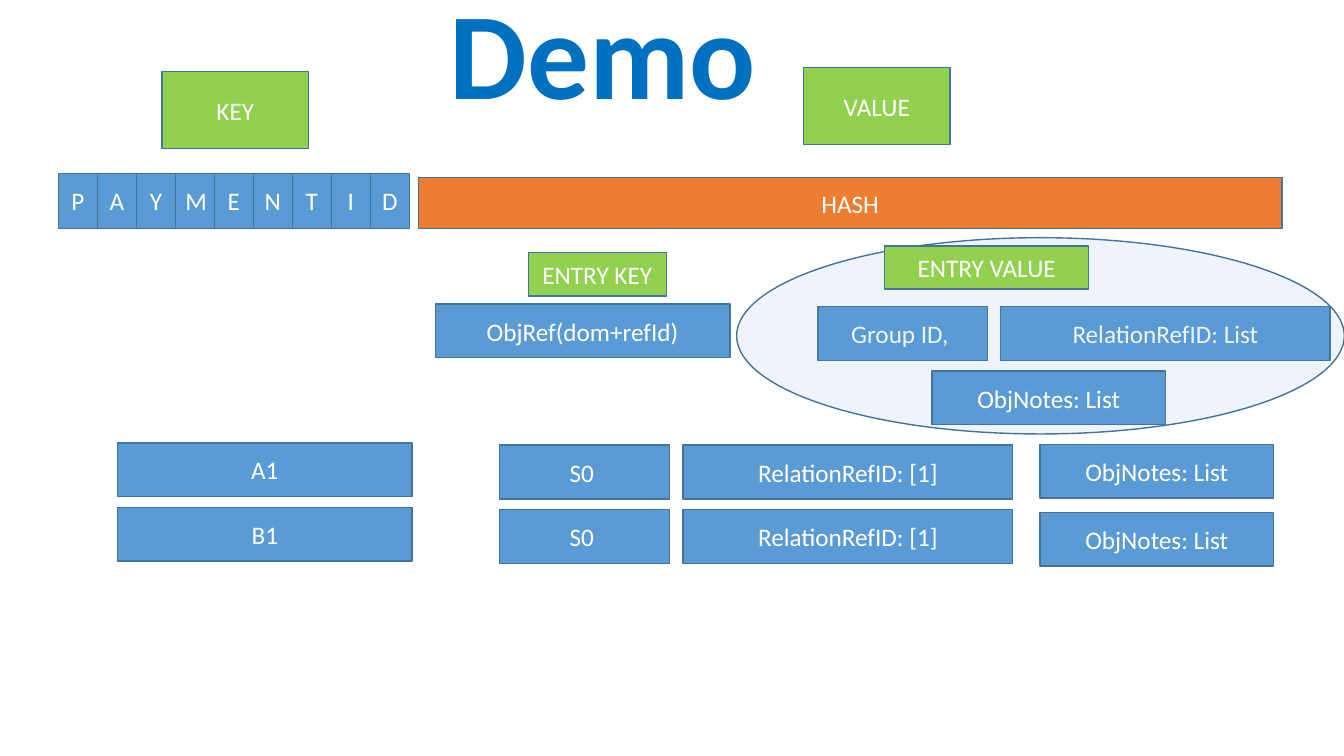
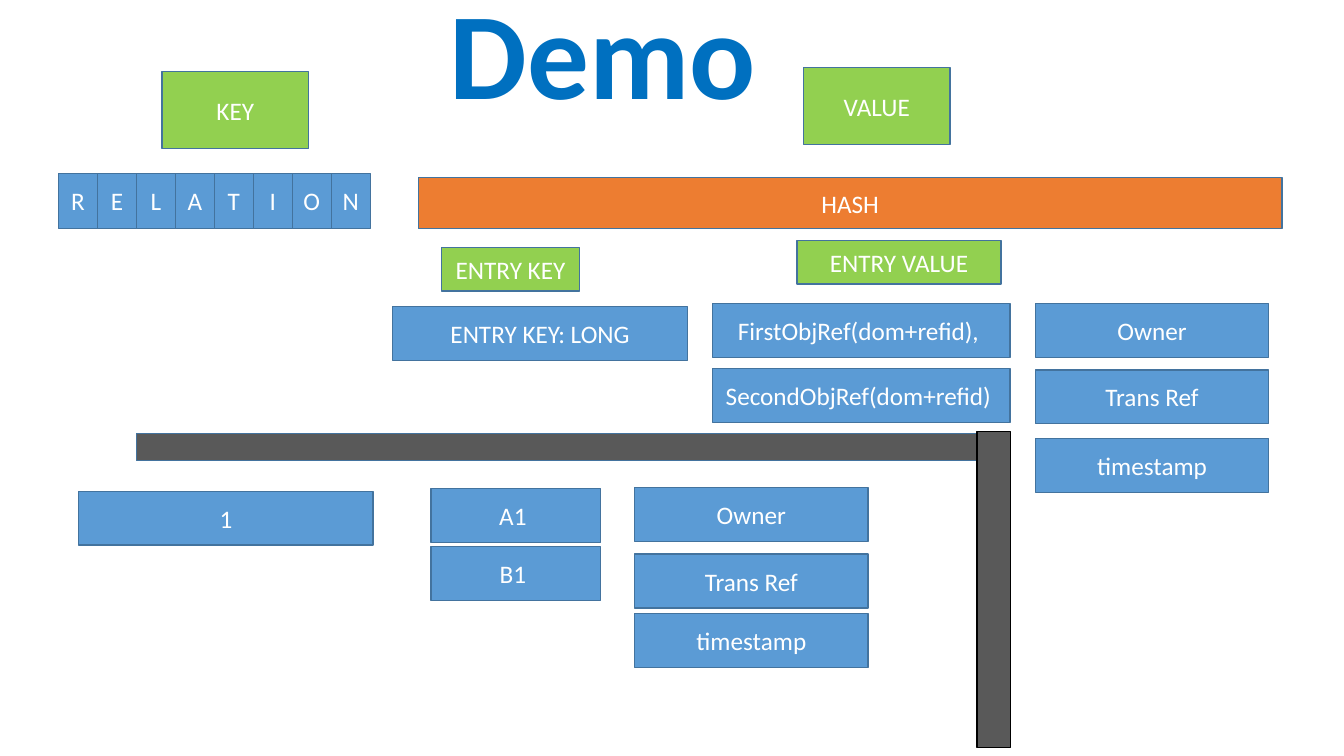
from lxml import etree
from pptx import Presentation
from pptx.dml.color import RGBColor
from pptx.enum import shapes, text
from pptx.oxml.ns import qn
from pptx.util import Pt

FONT = "Calibri"
INK = {
    "title": "0070C0",
    "blue": "5B9BD5",
    "green": "92D050",
    "orange": "ED7D31",
    "gray": "595959",
    "edge": "43739E",
    "black": "000000",
    "white": "FFFFFF",
}
ROW = 38.4  # height of a data box
KEY_W, ID_W, REL_W, NOTE_W, REF_W = 210.4, 121.2, 235.4, 166.6, 212.8
RECT = shapes.MSO_SHAPE.RECTANGLE
OVAL = shapes.MSO_SHAPE.OVAL


def rgb(name):
    return RGBColor.from_string(INK[name])


def style(frame, size, ink, bold=False):
    frame.vertical_anchor = text.MSO_ANCHOR.MIDDLE
    para = frame.paragraphs[0]
    para.alignment = text.PP_ALIGN.CENTER
    for run in para.runs:
        font = run.font
        font.name, font.size, font.bold = FONT, Pt(size), bold
        font.color.rgb = rgb(ink)


def box(slide, label, x, y, w, h=ROW, fill="blue", edge="edge", kind=RECT):
    shape = slide.shapes.add_shape(kind, Pt(x), Pt(y), Pt(w), Pt(h))
    shape.shadow.inherit = False
    shape.fill.solid()
    shape.fill.fore_color.rgb = rgb(fill)
    shape.line.color.rgb = rgb(edge)
    shape.line.width = Pt(1)
    if label:
        shape.text_frame.text = label
        style(shape.text_frame, 18, "white")
    return shape


def fade(shape, part):
    """Set the opacity of a solid fill, in percent."""
    tint = shape.fill._xPr.find(qn("a:solidFill"))[0]
    etree.SubElement(tint, qn("a:alpha")).set("val", str(part * 1000))


def tag(slide, label, x, y, w, h=31):
    box(slide, label, x, y, w, h, "green")


def cells(slide, word):
    """Spell the key with one cell per letter."""
    for i, char in enumerate(word):
        box(slide, char, 41.8 + 27.84 * i, 123.8, 27.84, 39.4)


def stack(slide, labels, x, tops, w):
    for label, y in zip(labels, tops):
        box(slide, label, x, y, w)


def place(layout):
    """Put the shared title area on the layout."""
    title = layout.placeholders[0]
    title.left, title.top = Pt(16.5), Pt(-9.4)
    title.width, title.height = Pt(828), Pt(104.4)


def start(deck, word):
    """Add a slide with the title, the key and value tags and the key cells."""
    slide = deck.slides.add_slide(deck.slide_layouts[5])
    frame = slide.shapes.title.text_frame
    frame.text = "Demo"
    frame.auto_size = text.MSO_AUTO_SIZE.NONE
    frame.paragraphs[0].line_spacing = 0.9
    style(frame, 88, "title", True)
    cells(slide, word)
    tag(slide, "KEY", 115.8, 51, 104.6, 55.2)
    tag(slide, "VALUE", 574, 48.2, 104.6, 55.2)
    box(slide, "HASH", 298.8, 126.8, 617, 36.6, "orange")
    return slide


def payment(deck):
    slide = start(deck, "PAYMENTID")
    box(slide, "ObjRef(dom+refId)", 311, 217.2, KEY_W)
    box(slide, "Group ID, ", 584.2, 219, ID_W)
    box(slide, "RelationRefID: List", 714.8, 219, REL_W)
    oval = box(slide, "", 526.2, 169.8, 434, 140.2, kind=OVAL)
    fade(oval, 10)
    tag(slide, "ENTRY KEY", 377.4, 180.6, 98.6)
    tag(slide, "ENTRY VALUE", 632, 175.6, 145.6)
    box(slide, "ObjNotes: List", 665.8, 265, NOTE_W)

    stack(slide, ["A1", "B1"], 84, [316.4, 362.4], KEY_W)
    stack(slide, ["S0 "] * 2, 357, [318, 364], ID_W)
    stack(slide, ["RelationRefID: [1]"] * 2, 488, [318, 364], REL_W)
    stack(slide, ["ObjNotes: List"] * 2, 743, [317.4, 366], NOTE_W)


def relation(deck):
    slide = start(deck, "RELATION")
    tag(slide, "ENTRY KEY", 315.4, 177, 98.6)
    tag(slide, "ENTRY VALUE", 569.4, 172, 145.6)
    box(slide, "ENTRY KEY: LONG", 280.6, 219, KEY_W)
    refs = ["FirstObjRef(dom+refid), ", "SecondObjRef(dom+refid) "]
    stack(slide, refs, 508.8, [216.8, 263.4], REF_W)

    facts = ["Owner", "Trans Ref", "timestamp"]
    stack(slide, facts, 739.6, [216.8, 264.2, 313.2], NOTE_W)
    box(slide, "1", 56.2, 351, KEY_W)
    stack(slide, ["A1 ", "B1 "], 307.8, [349, 390.4], ID_W)
    stack(slide, facts, 453.4, [348.4, 395.8, 438.4], NOTE_W)

    box(slide, "", 97.4, 309.6, 617.6, 19.4, "gray")
    box(slide, "", 697.8, 308.4, 24, 225.6, "gray", "black")


def main():
    deck = Presentation()
    deck.slide_width, deck.slide_height = Pt(960), Pt(540)
    place(deck.slide_layouts[5])
    payment(deck)
    relation(deck)
    deck.save("out.pptx")


if __name__ == "__main__":
    main()
